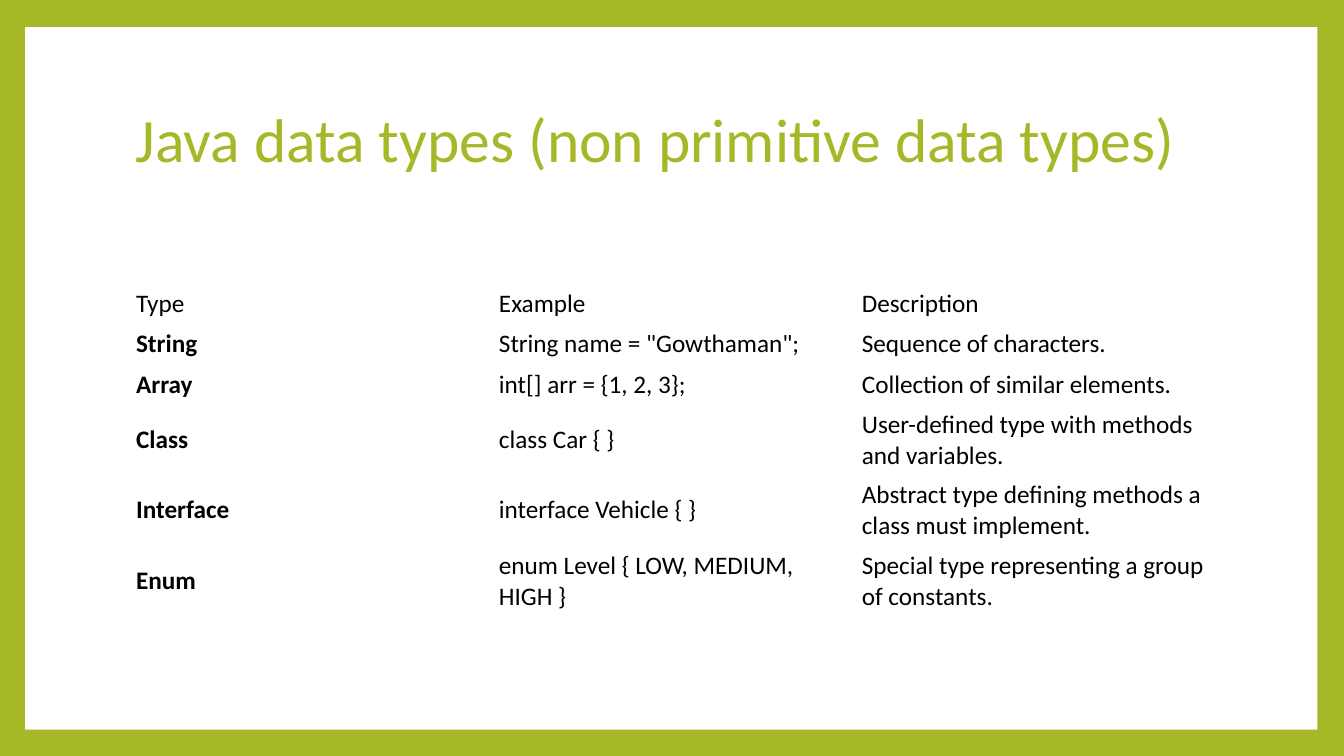
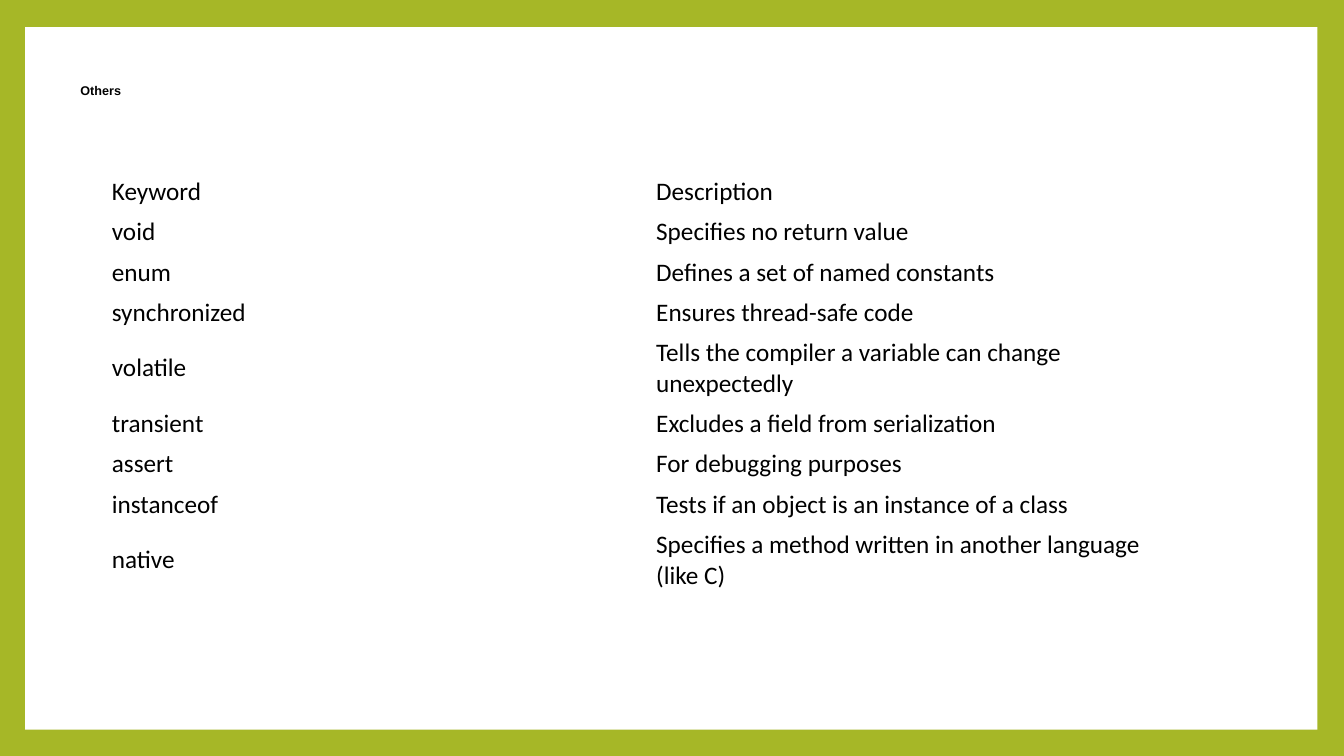
from dataclasses import dataclass

from pptx import Presentation
from pptx.dml.color import RGBColor
from pptx.enum.shapes import MSO_SHAPE
from pptx.enum.text import MSO_ANCHOR
from pptx.util import Inches, Pt

RECTANGLE = MSO_SHAPE.RECTANGLE
TOP, MIDDLE = MSO_ANCHOR.TOP, MSO_ANCHOR.MIDDLE


@dataclass(frozen=True)
class Theme:
    accent: str = "A6B727"
    panel: str = "FFFFFF"
    ink: str = "000000"
    body_font: str = "Calibri"
    label_font: str = "Arial"
    title_size: int = 44
    body_size: int = 18
    label_size: int = 9


@dataclass(frozen=True)
class Box:
    left: float
    top: float
    width: float
    height: float

    def place(self):
        return [grid(cells) for cells in (self.left, self.top, self.width, self.height)]


THEME = Theme()
CELLS_PER_INCH = 10
SLIDE_COLUMNS, SLIDE_ROWS = 133.33, 75
PANEL = Box(2.5, 2.7, 128.2, 69.7)
LINE_ROW, TWO_LINE_ROW = 4, 7

DATA_TYPES = [
    ("Type", "Example", "Description"),
    ("String", 'String name = "Gowthaman";', "Sequence of characters."),
    ("Array", "int[] arr = {1, 2, 3};", "Collection of similar elements."),
    ("Class", "class Car { }", "User-defined type with methods and variables."),
    ("Interface", "interface Vehicle { }",
     "Abstract type defining methods a class must implement."),
    ("Enum", "enum Level { LOW, MEDIUM, HIGH }",
     "Special type representing a group of constants."),
]
KEYWORDS = [
    ("Keyword", "Description"),
    ("void", "Specifies no return value"),
    ("enum", "Defines a set of named constants"),
    ("synchronized", "Ensures thread-safe code"),
    ("volatile", "Tells the compiler a variable can change unexpectedly"),
    ("transient", "Excludes a field from serialization"),
    ("assert", "For debugging purposes"),
    ("instanceof", "Tests if an object is an instance of a class"),
    ("native", "Specifies a method written in another language (like C)"),
]


def grid(cells):
    return Inches(cells / CELLS_PER_INCH)


def write(text_frame, text, size=THEME.body_size, font=THEME.body_font,
          color=THEME.ink, bold=False, line_spacing=1.0):
    paragraph = text_frame.paragraphs[0]
    paragraph.line_spacing = line_spacing
    run = paragraph.add_run()
    run.text = text
    run.font.size = Pt(size)
    run.font.name = font
    run.font.bold = bold
    run.font.color.rgb = RGBColor.from_string(color)


def add_text(slide, box, text, anchor=MIDDLE, margin=0.5, **text_format):
    text_frame = slide.shapes.add_textbox(*box.place()).text_frame
    text_frame.word_wrap = True
    text_frame.vertical_anchor = anchor
    text_frame.margin_top = text_frame.margin_bottom = grid(margin)
    write(text_frame, text, **text_format)


def add_framed_slide(presentation):
    slide = presentation.slides.add_slide(presentation.slide_layouts[6])
    background = slide.background.fill
    background.solid()
    background.fore_color.rgb = RGBColor.from_string(THEME.accent)
    panel = slide.shapes.add_shape(RECTANGLE, *PANEL.place())
    panel.shadow.inherit = False
    panel.fill.solid()
    panel.fill.fore_color.rgb = RGBColor.from_string(THEME.panel)
    panel.line.fill.background()
    return slide


def add_plain_table(slide, box, records, tall_rows, bold_names=False):
    column_count = len(records[0])
    table = slide.shapes.add_table(len(records), column_count, *box.place()).table
    table.first_row = table.horz_banding = False
    for column in table.columns:
        column.width = grid(box.width / column_count)
    for row_index, record in enumerate(records):
        row_height = TWO_LINE_ROW if row_index in tall_rows else LINE_ROW
        table.rows[row_index].height = grid(row_height)
        for column_index, text in enumerate(record):
            cell = table.cell(row_index, column_index)
            cell.fill.background()
            cell.vertical_anchor = MIDDLE
            is_name = row_index > 0 and column_index == 0
            write(cell.text_frame, text, bold=bold_names and is_name)


def build_data_types(presentation):
    slide = add_framed_slide(presentation)
    add_text(slide, Box(12.5, 6.7, 108, 14.8),
             "Java data types (non primitive data types)",
             size=THEME.title_size, color=THEME.accent, line_spacing=0.9)
    add_plain_table(slide, Box(12.5, 28.1, 108, 33), DATA_TYPES,
                    tall_rows={3, 4, 5}, bold_names=True)


def build_keywords(presentation):
    slide = add_framed_slide(presentation)
    add_plain_table(slide, Box(10.1, 17, 108, 42), KEYWORDS, tall_rows={4, 8})
    add_text(slide, Box(7, 7.9, 120, 5), "Others", anchor=TOP, margin=0.3,
             size=THEME.label_size, font=THEME.label_font, bold=True)


def main():
    presentation = Presentation()
    presentation.slide_width = grid(SLIDE_COLUMNS)
    presentation.slide_height = grid(SLIDE_ROWS)
    build_data_types(presentation)
    build_keywords(presentation)
    presentation.save("out.pptx")


if __name__ == "__main__":
    main()
